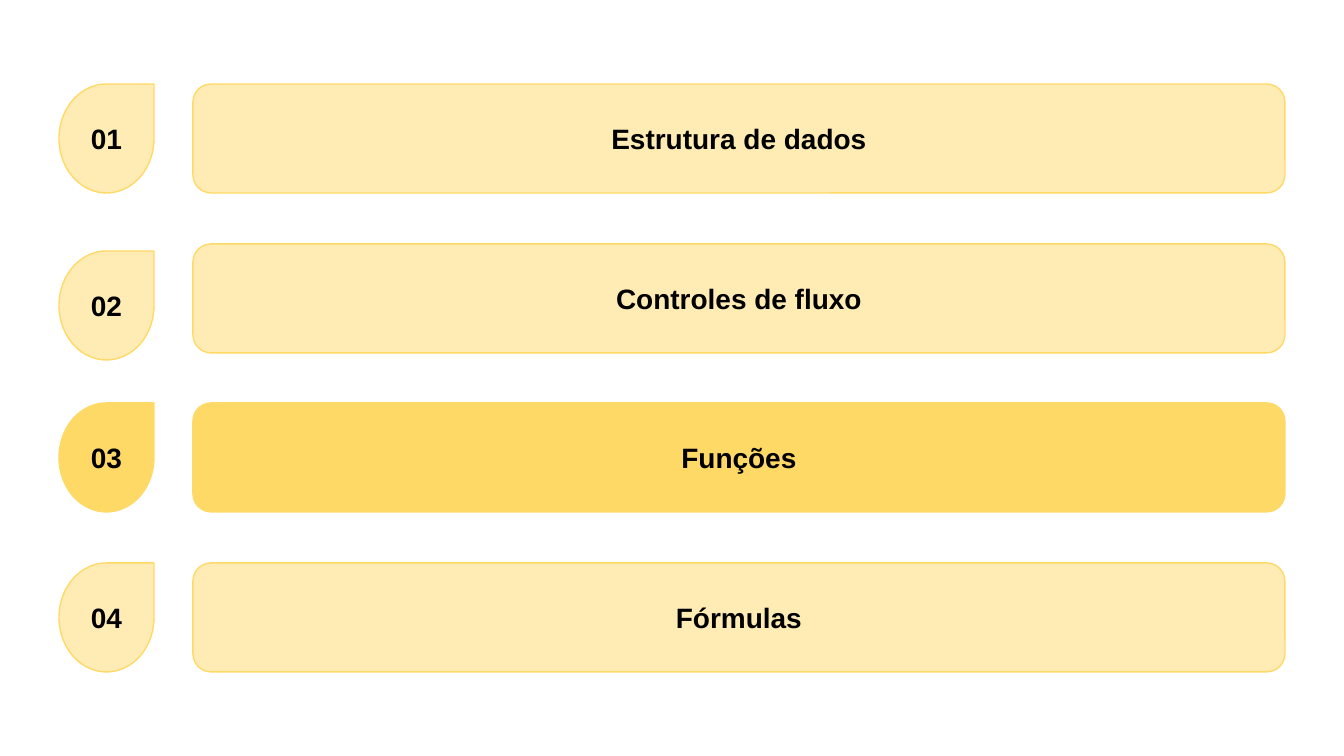
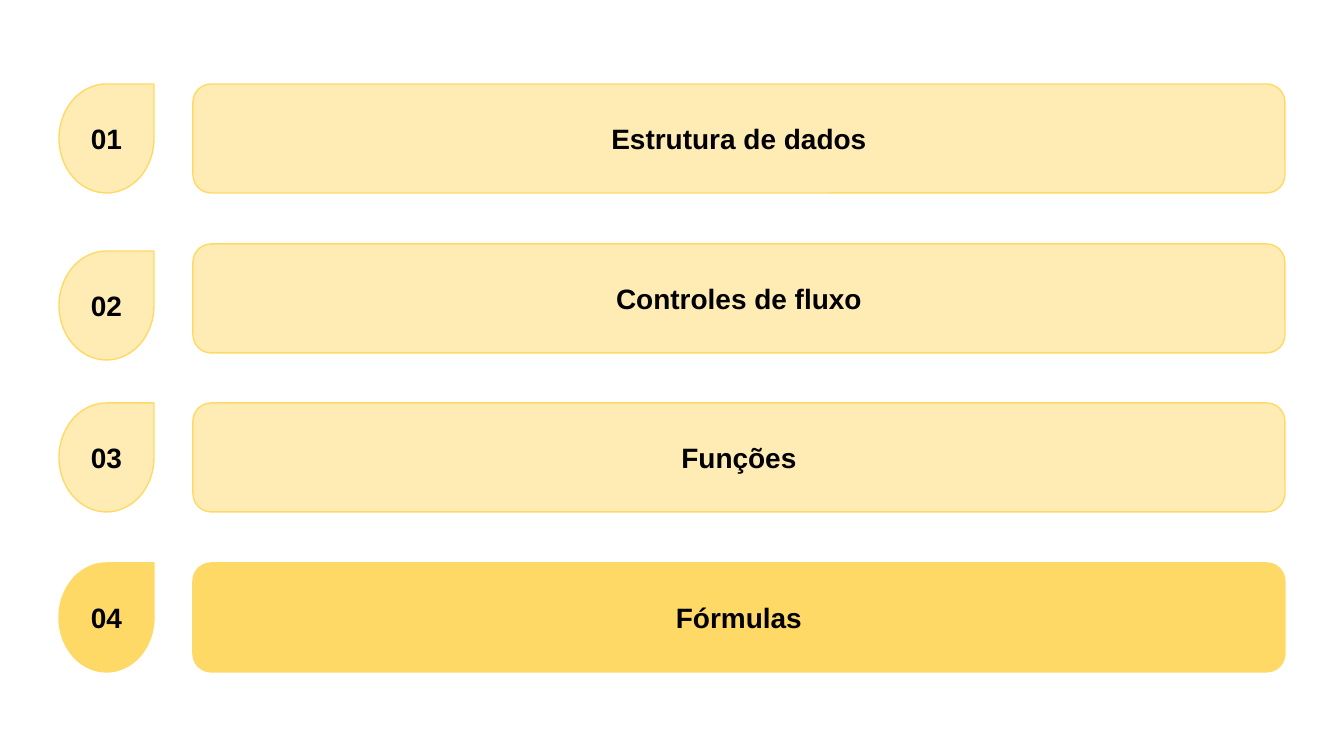
"""Build two agenda slides, each highlighting the current topic."""
from lxml.etree import SubElement
from pptx import Presentation
from pptx.dml.color import RGBColor
from pptx.enum.shapes import MSO_SHAPE
from pptx.enum.text import MSO_ANCHOR, PP_ALIGN
from pptx.oxml.ns import qn
from pptx.util import Inches, Pt

PX = Inches(10) / 1344
COLORS = {"yellow": "FFD966", "text": "000000"}
FONT = "Arial"
TOPICS = ["Estrutura de dados", "Controles de fluxo", "Funções", "Fórmulas"]
HIGHLIGHTS = [3, 4]
FIRST_TOP, LAST_TOP, ROW_HEIGHT = 84, 563, 109
BAR_LEFT, BAR_WIDTH = 193, 1092
DROP_LEFT, DROP_WIDTH = 59, 95
DROP_SHIFTS = {2: 7}


def px(length):
    return round(length * PX)


def add_label(page, kind, left, top, width, text, active):
    box = page.shapes.add_shape(kind, px(left), px(top), px(width), px(ROW_HEIGHT))
    box.shadow.inherit = False
    yellow = RGBColor.from_string(COLORS["yellow"])
    box.fill.solid()
    box.fill.fore_color.rgb = yellow
    if not active:
        color = box.element.spPr.find(qn("a:solidFill")).find(qn("a:srgbClr"))
        SubElement(color, qn("a:alpha")).set("val", "48000")
    box.line.color.rgb = yellow
    box.line.width = Pt(0.75)
    frame = box.text_frame
    frame.word_wrap = True
    frame.vertical_anchor = MSO_ANCHOR.MIDDLE
    frame.margin_left = frame.margin_right = Inches(0.1)
    frame.margin_top = frame.margin_bottom = Inches(0.1)
    frame.text = text
    para = frame.paragraphs[0]
    para.alignment = PP_ALIGN.CENTER
    font = para.runs[0].font
    font.name = FONT
    font.size = Pt(15)
    font.bold = True
    font.color.rgb = RGBColor.from_string(COLORS["text"])


deck = Presentation()
deck.slide_width = px(1344)
deck.slide_height = px(756)
row_step = (LAST_TOP - FIRST_TOP) / (len(TOPICS) - 1)

for highlight in HIGHLIGHTS:
    page = deck.slides.add_slide(deck.slide_layouts[6])
    for number, topic in enumerate(TOPICS, start=1):
        top = round(FIRST_TOP + (number - 1) * row_step)
        drop_top = top + DROP_SHIFTS.get(number, 0)
        active = number == highlight
        add_label(page, MSO_SHAPE.ROUNDED_RECTANGLE, BAR_LEFT, top, BAR_WIDTH, topic, active)
        add_label(page, MSO_SHAPE.TEAR, DROP_LEFT, drop_top, DROP_WIDTH, f"{number:02}", active)

deck.save("out.pptx")
